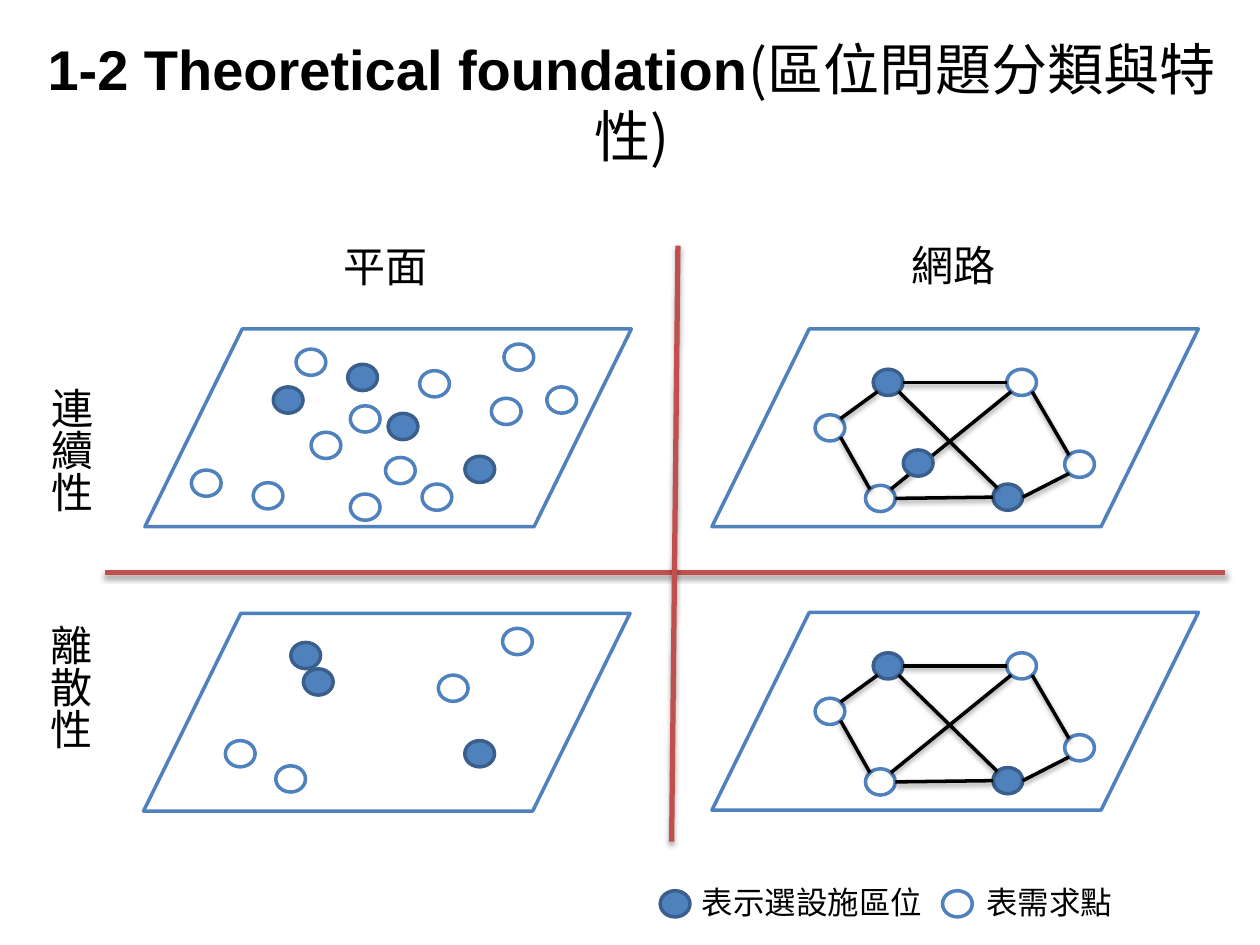
from dataclasses import dataclass
from math import sqrt

from lxml.etree import SubElement
from pptx import Presentation
from pptx.dml.color import RGBColor
from pptx.enum.shapes import MSO_CONNECTOR, MSO_SHAPE
from pptx.enum.text import MSO_ANCHOR, MSO_AUTO_SIZE, PP_ALIGN
from pptx.oxml.ns import qn
from pptx.util import Pt


@dataclass(frozen=True)
class Theme:
    blue: RGBColor = RGBColor(0x4F, 0x81, 0xBD)
    dark_blue: RGBColor = RGBColor(0x3A, 0x5F, 0x8C)
    red: RGBColor = RGBColor(0xC0, 0x50, 0x4D)
    black: RGBColor = RGBColor(0, 0, 0)
    white: RGBColor = RGBColor(255, 255, 255)
    latin: str = "Arial"
    chinese: str = "Noto Sans CJK SC"
    title_size: int = 32
    heading_size: int = 24
    legend_size: int = 18
    outline: float = 2
    divider: float = 3


THEME = Theme()
PLANE_SIZE = (278, 113)
NODE_SIZE = (17, 15)

# Marker positions are measured from the top left of their plane
CONTINUOUS_FACILITIES = [(73.4, 33.1), (115.9, 20.2), (139, 48.2), (182.9, 72.7)]
CONTINUOUS_DEMANDS = [
    (86.4, 11.5), (26.6, 80.6), (61.9, 87.8), (95, 59), (117.4, 43.9), (205.2, 8.6),
    (229.7, 33.1), (157, 23.8), (198, 39.6), (117.4, 94.3), (137.5, 73.4), (158.4, 88.6),
]
DISCRETE_FACILITIES = [(84.2, 16.6), (91.4, 31.7), (183.6, 72.7)]
DISCRETE_DEMANDS = [(46.8, 72.7), (75.6, 87.1), (205.2, 8.6), (168.5, 35.3)]
NETWORK_DEMANDS = {
    "west": (59, 49), "southwest": (87.8, 89.3), "east": (201.6, 69.8), "northeast": (168.5, 23),
}
NETWORK_FACILITIES = {"south": (160.6, 88.6), "north": (92.2, 23)}
FACILITY_ON_LINK = (109.4, 69.1)

# Each link names two nodes and the direction in which it leaves each circle
LINKS = [
    ("southwest", (1, 0), "south", (-1, 0)),
    ("south", (1, 0), "east", (-1, 1)),
    ("northeast", (1, 1), "east", (-1, -1)),
    ("north", (1, 0), "northeast", (-1, 0)),
    ("west", (1, -1), "north", (-1, 1)),
    ("west", (1, 1), "southwest", (-1, -1)),
    ("north", (1, 1), "south", (-1, -1)),
    ("southwest", (1, -1), "northeast", (-1, 1)),
]


def shift(origin, offset):
    return origin[0] + offset[0], origin[1] + offset[1]


def add_outlined_shape(slide, preset, position, size, fill, line):
    shape = slide.shapes.add_shape(preset, *map(Pt, (*position, *size)))
    shape.shadow.inherit = False
    shape.fill.solid()
    shape.fill.fore_color.rgb = fill
    shape.line.color.rgb = line
    shape.line.width = Pt(THEME.outline)


def add_plane(slide, position):
    add_outlined_shape(slide, MSO_SHAPE.FLOWCHART_DATA, position, PLANE_SIZE,
                       THEME.white, THEME.blue)


def add_facility(slide, position):
    add_outlined_shape(slide, MSO_SHAPE.OVAL, position, NODE_SIZE, THEME.blue, THEME.dark_blue)


def add_demand(slide, position):
    add_outlined_shape(slide, MSO_SHAPE.OVAL, position, NODE_SIZE, THEME.white, THEME.blue)


def add_line(slide, start, end, color, width, shadow_opacity):
    connector = slide.shapes.add_connector(MSO_CONNECTOR.STRAIGHT, *map(Pt, (*start, *end)))
    connector.line.color.rgb = color
    connector.line.width = Pt(width)
    properties = connector._element.spPr
    effects = SubElement(properties, qn("a:effectLst"))
    shadow = SubElement(effects, qn("a:outerShdw"), blurRad=str(Pt(3.1)), dist=str(Pt(1.7)),
                        dir="5400000", rotWithShape="0")
    shadow_color = SubElement(shadow, qn("a:srgbClr"), val=str(THEME.black))
    SubElement(shadow_color, qn("a:alpha"), val=str(shadow_opacity * 1000))


def format_run(run, latin, size, bold=False):
    values = {"name": latin, "size": Pt(size), "bold": bold}
    for name, value in values.items():
        setattr(run.font, name, value)
    run.font.color.rgb = THEME.black
    SubElement(run.font._element, qn("a:ea"), typeface=THEME.chinese)


def add_label(slide, text, position, size, font, font_size, vertical=False):
    box = slide.shapes.add_textbox(*map(Pt, (*position, *size)))
    frame = box.text_frame
    frame.word_wrap = False
    frame.auto_size = MSO_AUTO_SIZE.SHAPE_TO_FIT_TEXT
    if vertical:
        frame._txBody.bodyPr.set("vert", "eaVert")
    run = frame.paragraphs[0].add_run()
    run.text = text
    format_run(run, font, font_size)


def add_title(slide):
    title = slide.shapes.title
    bounds = {"left": 2, "top": 13, "width": 718, "height": 90}
    for name, value in bounds.items():
        setattr(title, name, Pt(value))
    frame = title.text_frame
    frame_format = {"word_wrap": True, "auto_size": MSO_AUTO_SIZE.NONE,
                    "vertical_anchor": MSO_ANCHOR.MIDDLE}
    for name, value in frame_format.items():
        setattr(frame, name, value)
    paragraph = frame.paragraphs[0]
    paragraph.alignment = PP_ALIGN.CENTER
    for text, font, bold in [("1-2 Theoretical foundation", THEME.latin, True),
                             ("(區位問題分類與特性)", THEME.chinese, False)]:
        run = paragraph.add_run()
        run.text = text
        format_run(run, font, THEME.title_size, bold)


def add_scatter(slide, origin, facilities, demands):
    add_plane(slide, origin)
    for position in facilities:
        add_facility(slide, shift(origin, position))
    for position in demands:
        add_demand(slide, shift(origin, position))


def circle_point(position, direction):
    """Return the point where a direction leaves the node's circle."""
    length = sqrt(direction[0] ** 2 + direction[1] ** 2)
    return tuple(round(start + size / 2 * (1 + step / length), 2)
                 for start, size, step in zip(position, NODE_SIZE, direction))


def add_network(slide, origin):
    add_plane(slide, origin)
    for position in NETWORK_DEMANDS.values():
        add_demand(slide, shift(origin, position))
    for position in NETWORK_FACILITIES.values():
        add_facility(slide, shift(origin, position))
    nodes = NETWORK_DEMANDS | NETWORK_FACILITIES
    for first, leaving, second, arriving in LINKS:
        start = circle_point(shift(origin, nodes[first]), leaving)
        end = circle_point(shift(origin, nodes[second]), arriving)
        add_line(slide, start, end, THEME.black, THEME.outline, 38)


def main():
    presentation = Presentation()
    presentation.slide_width, presentation.slide_height = Pt(720), Pt(540)
    slide = presentation.slides.add_slide(presentation.slide_layouts[5])
    add_title(slide)

    # Four problem classes
    upper_network, lower_network = (406.8, 188), (406.8, 350)
    add_scatter(slide, (82.8, 188), CONTINUOUS_FACILITIES, CONTINUOUS_DEMANDS)
    add_network(slide, upper_network)
    add_facility(slide, shift(upper_network, FACILITY_ON_LINK))
    add_scatter(slide, (82, 350.5), DISCRETE_FACILITIES, DISCRETE_DEMANDS)
    add_network(slide, lower_network)

    # Legend
    add_label(slide, "表示選設施區位", (394, 501), (142, 29), THEME.latin, THEME.legend_size)
    add_facility(slide, (377.3, 509))
    add_demand(slide, (538.6, 509))
    add_label(slide, "表需求點", (556.6, 501), (87, 29), THEME.latin, THEME.legend_size)

    # Dividers
    for start, end in [((60, 327), (700, 327)), ((387.4, 140.4), (383.8, 481))]:
        add_line(slide, start, end, THEME.red, THEME.divider, 35)

    # Row and column headings
    for text, position in [("連續性", (14.4, 214.6)), ("離散性", (13.7, 350))]:
        add_label(slide, text, position, (44, 80), THEME.chinese, THEME.heading_size, True)
    for text, position in [("平面", (189.4, 134)), ("網路", (514, 133.2))]:
        add_label(slide, text, position, (63, 36), THEME.chinese, THEME.heading_size)

    presentation.save("out.pptx")


if __name__ == "__main__":
    main()
